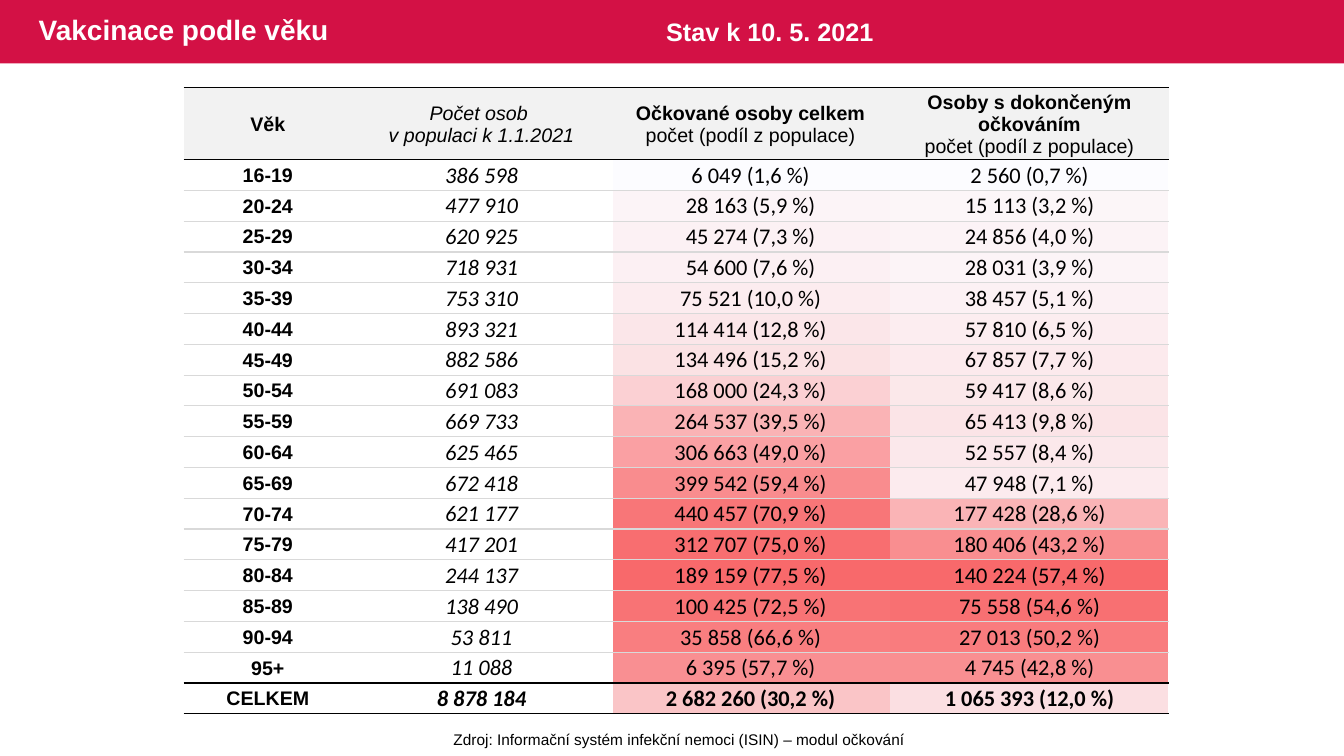
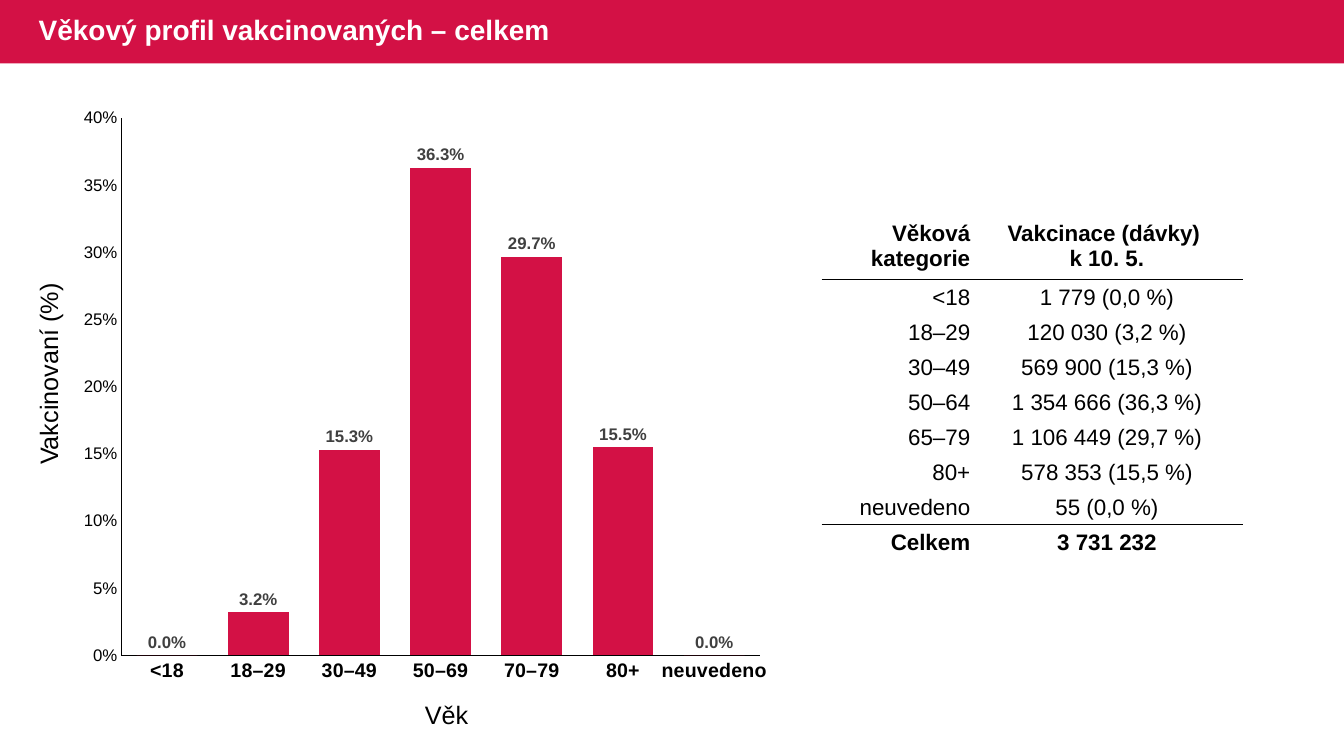
from lxml import etree
from pptx import Presentation
from pptx.chart.data import CategoryChartData
from pptx.dml.color import RGBColor
from pptx.enum.chart import XL_CHART_TYPE as ChartType, XL_LABEL_POSITION as LabelPosition
from pptx.enum.chart import XL_TICK_MARK as TickMark
from pptx.enum.shapes import MSO_SHAPE as Preset
from pptx.enum.text import MSO_ANCHOR as Anchor, PP_ALIGN as Align
from pptx.oxml import parse_xml
from pptx.oxml.ns import nsdecls, qn
from pptx.util import Cm, Pt

RED = RGBColor(0xD3, 0x11, 0x45)
WHITE = RGBColor(0xFF, 0xFF, 0xFF)
BLACK = RGBColor(0, 0, 0)
HEADER_GREY = RGBColor(0xF2, 0xF2, 0xF2)
RULE_GREY = RGBColor(0xD9, 0xD9, 0xD9)
LABEL_GREY = RGBColor(0x40, 0x40, 0x40)
SCALE_LOW = RGBColor(0xFC, 0xFC, 0xFF)
SCALE_HIGH = RGBColor(0xF8, 0x69, 0x6B)
PLAIN_TABLE_STYLE = "{2D5ABB26-0587-4C30-8999-92F81FD0307C}"
SLIDE_WIDTH, SLIDE_HEIGHT, BAND_HEIGHT = 33.87, 19.05, 1.6
AGE_ROWS_HEIGHT = 13.97
CHART_WIDTH, CHART_HEIGHT = 17.96, 15.06

AGE_TITLE = "Vakcinace podle věku"
AGE_STATUS = "Stav k 10. 5. 2021"
AGE_SOURCE = "Zdroj: Informační systém infekční nemoci (ISIN) – modul očkování"
SHARE_NOTE = ("počet (podíl z populace)", False, False)
AGE_HEADER = [
    [("Věk", True, False)],
    [("Počet osob ", False, True), ("v populaci k 1.1.2021", False, True)],
    [("Očkované osoby celkem", True, False), SHARE_NOTE],
    [("Osoby s dokončeným očkováním", True, False), SHARE_NOTE],
]
AGE_ROWS = [
    ("16-19", "386 598", "6 049", 1.6, "2 560", 0.7),
    ("20-24", "477 910", "28 163", 5.9, "15 113", 3.2),
    ("25-29", "620 925", "45 274", 7.3, "24 856", 4.0),
    ("30-34", "718 931", "54 600", 7.6, "28 031", 3.9),
    ("35-39", "753 310", "75 521", 10.0, "38 457", 5.1),
    ("40-44", "893 321", "114 414", 12.8, "57 810", 6.5),
    ("45-49", "882 586", "134 496", 15.2, "67 857", 7.7),
    ("50-54", "691 083", "168 000", 24.3, "59 417", 8.6),
    ("55-59", "669 733", "264 537", 39.5, "65 413", 9.8),
    ("60-64", "625 465", "306 663", 49.0, "52 557", 8.4),
    ("65-69", "672 418", "399 542", 59.4, "47 948", 7.1),
    ("70-74", "621 177", "440 457", 70.9, "177 428", 28.6),
    ("75-79", "417 201", "312 707", 75.0, "180 406", 43.2),
    ("80-84", "244 137", "189 159", 77.5, "140 224", 57.4),
    ("85-89", "138 490", "100 425", 72.5, "75 558", 54.6),
    ("90-94", "53 811", "35 858", 66.6, "27 013", 50.2),
    ("95+", "11 088", "6 395", 57.7, "4 745", 42.8),
    ("CELKEM", "8 878 184", "2 682 260", 30.2, "1 065 393", 12.0),
]

PROFILE_TITLE = "Věkový profil vakcinovaných – celkem"
PROFILE_CHART = [
    ("<18", 0), ("18–29", 0.032), ("30–49", 0.153), ("50–69", 0.363),
    ("70–79", 0.297), ("80+", 0.155), ("neuvedeno", 0),
]
PROFILE_ROWS = [
    (["Věková kategorie"], ["Vakcinace (dávky) ", "k 10. 5."]),
    (["<18"], ["1 779 (0,0 %)"]),
    (["18–29"], ["120 030 (3,2 %)"]),
    (["30–49"], ["569 900 (15,3 %)"]),
    (["50–64"], ["1 354 666 (36,3 %)"]),
    (["65–79"], ["1 106 449 (29,7 %)"]),
    (["80+"], ["578 353 (15,5 %)"]),
    (["neuvedeno"], ["55 (0,0 %)"]),
    (["Celkem"], ["3 731 232"]),
]


def style_font(font, size, color=BLACK, bold=False, italic=False, name="Arial"):
    font.name, font.size, font.bold, font.italic = name, Pt(size), bold, italic
    font.color.rgb = color


def place(shape, *frame):
    shape.left, shape.top, shape.width, shape.height = map(Cm, frame)


def add_band(slide):
    band = slide.shapes.add_shape(Preset.RECTANGLE, 0, 0, Cm(SLIDE_WIDTH), Cm(BAND_HEIGHT))
    band.shadow.inherit = False
    band.fill.solid()
    band.fill.fore_color.rgb = RED
    band.line.fill.background()
    slide.slide_layout.shapes._spTree.insert(2, band._element)


def add_slide(deck, layout, text):
    slide = deck.slides.add_slide(layout)
    title = slide.shapes.title
    place(title, 0.72, 0, 20.65, BAND_HEIGHT)
    frame = title.text_frame
    frame.text = text
    frame.vertical_anchor = Anchor.MIDDLE
    para = frame.paragraphs[0]
    para.alignment, para.line_spacing = Align.LEFT, 0.9
    style_font(para.runs[0].font, 20, WHITE, bold=True)
    return slide


def add_label(slide, text, frame, size, color=BLACK, bold=False, align=Align.LEFT, wrap=False):
    box = slide.shapes.add_textbox(*map(Cm, frame))
    box.text_frame.word_wrap = wrap
    box.text_frame.text = text
    para = box.text_frame.paragraphs[0]
    para.alignment = align
    style_font(para.runs[0].font, size, color, bold)
    return box


def add_plain_table(slide, left, top, widths, heights):
    frame = slide.shapes.add_table(len(heights), len(widths), Cm(left), Cm(top),
                                   Cm(sum(widths)), Cm(sum(heights)))
    table = frame.table
    table.first_row = table.horz_banding = False
    table._tbl.tblPr.find(qn("a:tableStyleId")).text = PLAIN_TABLE_STYLE
    for column, width in zip(table.columns, widths):
        column.width = Cm(width)
    for row, height in zip(table.rows, heights):
        row.height = Cm(height)
    return table


def draw_rules(table, rules, side=None):
    for index, row in enumerate(table.rows):
        edges = [("lnL", side), ("lnR", side), ("lnT", rules[index]), ("lnB", rules[index + 1])]
        visible = [(tag, color) for tag, color in edges if color is not None]
        for cell in row.cells:
            for position, (tag, color) in enumerate(visible):
                line = parse_xml(
                    f'<a:{tag} {nsdecls("a")} w="{Pt(1)}"><a:solidFill>'
                    f'<a:srgbClr val="{color}"/></a:solidFill></a:{tag}>')
                cell._tc.get_or_add_tcPr().insert(position, line)


def paint_cell(cell, fill):
    cell.margin_left = cell.margin_right = cell.margin_top = Cm(0.03)
    cell.margin_bottom = 0
    cell.vertical_anchor = Anchor.MIDDLE
    if fill is None:
        cell.fill.background()
    else:
        cell.fill.solid()
        cell.fill.fore_color.rgb = fill


def fill_cell(cell, lines, size, align=Align.CENTER, name="Arial", fill=None):
    paint_cell(cell, fill)
    cell.text_frame.text = "\n".join(text for text, _, _ in lines)
    for para, (_, bold, italic) in zip(cell.text_frame.paragraphs, lines):
        para.alignment = align
        style_font(para.runs[0].font, size, bold=bold, italic=italic, name=name)


def scale_color(share, shares):
    ratio = (share - min(shares)) / (max(shares) - min(shares))
    return RGBColor(*(round(low + (high - low) * ratio)
                      for low, high in zip(SCALE_LOW, SCALE_HIGH)))


def share_text(count, share):
    return f"{count} ({share:.1f} %)".replace(".", ",")


def add_share_scale(slide):
    count = len(AGE_ROWS)
    table = add_plain_table(slide, 15.44, 4.01, [7, 7], [AGE_ROWS_HEIGHT / count] * count)
    for column, field in enumerate([3, 5]):
        shares = [row[field] for row in AGE_ROWS]
        for index, share in enumerate(shares):
            cell = table.cell(index, column)
            paint_cell(cell, scale_color(share, shares))
            para = cell.text_frame.paragraphs[0]
            etree.SubElement(para._p, qn("a:endParaRPr")).set("sz", "1000")


def add_age_table(slide):
    count = len(AGE_ROWS)
    table = add_plain_table(slide, 4.63, 2.21, [4.24, 6.53, 7.03, 7.03],
                            [1.52] + [AGE_ROWS_HEIGHT / count] * count)
    draw_rules(table, [BLACK] * 2 + [RULE_GREY] * (count - 2) + [BLACK] * 2)
    for column, lines in enumerate(AGE_HEADER):
        fill_cell(table.cell(0, column), lines, 14, fill=HEADER_GREY)
    for index, (age, people, *doses) in enumerate(AGE_ROWS, 1):
        total = index == count
        fill_cell(table.cell(index, 0), [(age, True, False)], 14)
        fill_cell(table.cell(index, 1), [(people, total, True)], 16, name="Calibri")
        for column, (number, share) in enumerate([doses[:2], doses[2:]], 2):
            fill_cell(table.cell(index, column), [(share_text(number, share), total, False)],
                      16, name="Calibri")


def add_profile_table(slide):
    last = len(PROFILE_ROWS) - 1
    table = add_plain_table(slide, 20.72, 5.32, [3.76, 6.83], [1.73] + [0.88] * last)
    rules = [BLACK if edge in (1, last) else WHITE for edge in range(last + 2)]
    draw_rules(table, rules, side=WHITE)
    for index, row in enumerate(PROFILE_ROWS):
        for column, align in enumerate([Align.RIGHT, Align.CENTER]):
            lines = [(text, index in (0, last), False) for text in row[column]]
            fill_cell(table.cell(index, column), lines, 16, align)


def set_plot_area(chart, **fractions):
    layout = parse_xml(f'<c:layout {nsdecls("c")}><c:manualLayout/></c:layout>')
    settings = dict(layoutTarget="inner", xMode="edge", yMode="edge", **fractions)
    for tag, value in settings.items():
        etree.SubElement(layout[0], qn(f"c:{tag}")).set("val", str(value))
    plot_area = chart._chartSpace.chart.plotArea
    for previous in plot_area.findall(qn("c:layout")):
        plot_area.remove(previous)
    plot_area.insert(0, layout)


def add_profile_chart(slide):
    data = CategoryChartData()
    data.categories = [age for age, _ in PROFILE_CHART]
    data.add_series("Series 1", [share for _, share in PROFILE_CHART])
    chart = slide.shapes.add_chart(ChartType.COLUMN_CLUSTERED, Cm(1.75), Cm(2.44),
                                   Cm(CHART_WIDTH), Cm(CHART_HEIGHT), data).chart
    chart.has_legend = chart.has_title = False
    style_font(chart.font, 10)
    set_plot_area(chart, x=1.31 / CHART_WIDTH, y=0.54 / CHART_HEIGHT,
                  w=16.09 / CHART_WIDTH, h=13.54 / CHART_HEIGHT)

    ages, shares = chart.category_axis, chart.value_axis
    for axis, size, bold in [(ages, 14, True), (shares, 12, False)]:
        axis.has_major_gridlines = False
        axis.major_tick_mark = axis.minor_tick_mark = TickMark.NONE
        axis.format.line.color.rgb = BLACK
        axis.format.line.width = Pt(0.75)
        style_font(axis.tick_labels.font, size, bold=bold)
        axis._element.txPr.bodyPr.set("rot", "-60000000")
    shares.minimum_scale, shares.maximum_scale, shares.major_unit = 0, 0.4, 0.05
    shares.tick_labels.number_format = "0%"
    shares.tick_labels.number_format_is_linked = False

    plot = chart.plots[0]
    plot.gap_width, plot.overlap, plot.vary_by_categories = 50, -27, False
    bars = plot.series[0]
    bars.format.fill.solid()
    bars.format.fill.fore_color.rgb = RED
    labels = bars.data_labels
    labels.show_value = True
    labels.number_format, labels.number_format_is_linked = "0.0%", False
    labels.position = LabelPosition.OUTSIDE_END
    style_font(labels.font, 12, LABEL_GREY, bold=True)


def main():
    deck = Presentation()
    deck.slide_width, deck.slide_height = Cm(SLIDE_WIDTH), Cm(SLIDE_HEIGHT)
    layout = deck.slide_layouts.get_by_name("Title Only")

    ages = add_slide(deck, layout, AGE_TITLE)
    add_band(ages)
    add_label(ages, AGE_STATUS, (16.54, 0.28, 7.52, 1.02), 18, WHITE, bold=True, wrap=True)
    add_share_scale(ages)
    add_age_table(ages)
    add_label(ages, AGE_SOURCE, (11.15, 18.27, 11.94, 0.74), 11, align=Align.CENTER)

    profile = add_slide(deck, layout, PROFILE_TITLE)
    add_profile_chart(profile)
    add_label(profile, "Věk", (10.46, 17.49, 1.63, 1.02), 18)
    add_label(profile, "Vakcinovaní (%)", (-1.35, 8.89, 5.13, 1.02), 18).rotation = 270
    add_profile_table(profile)

    deck.save("out.pptx")


if __name__ == "__main__":
    main()
